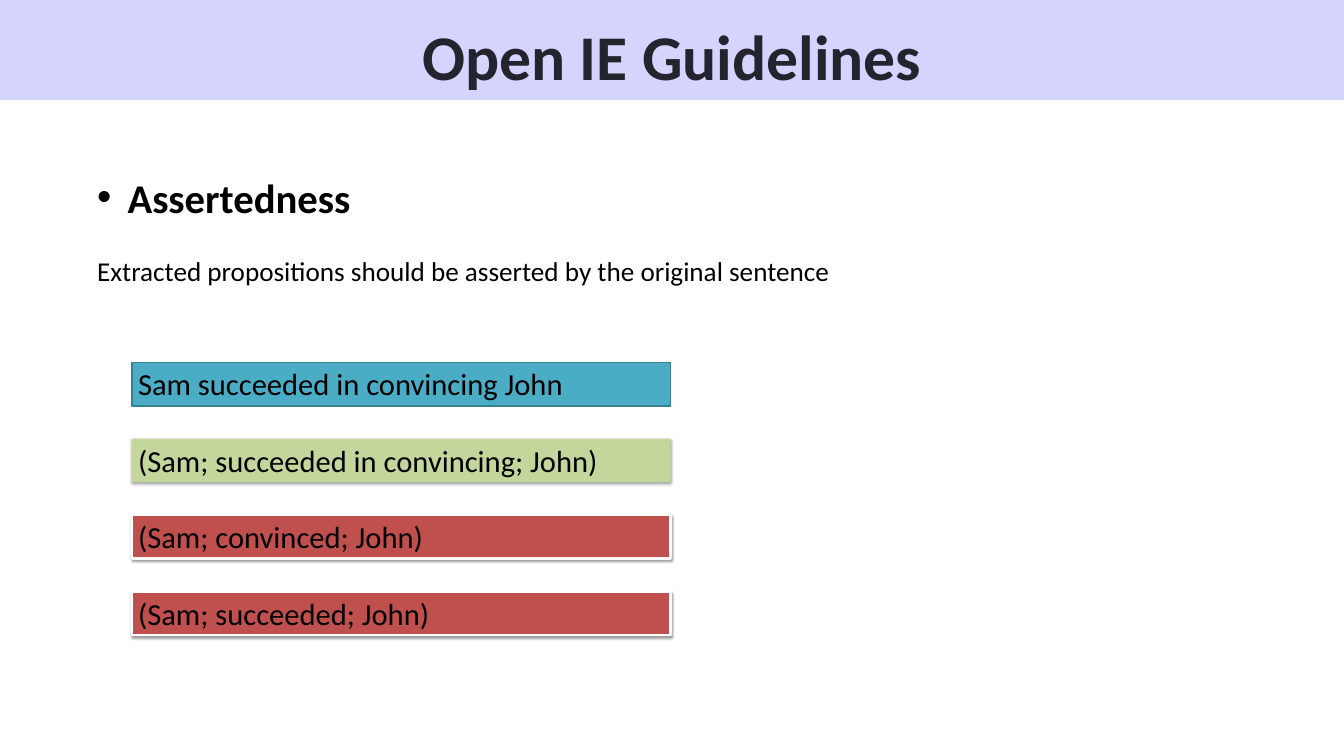
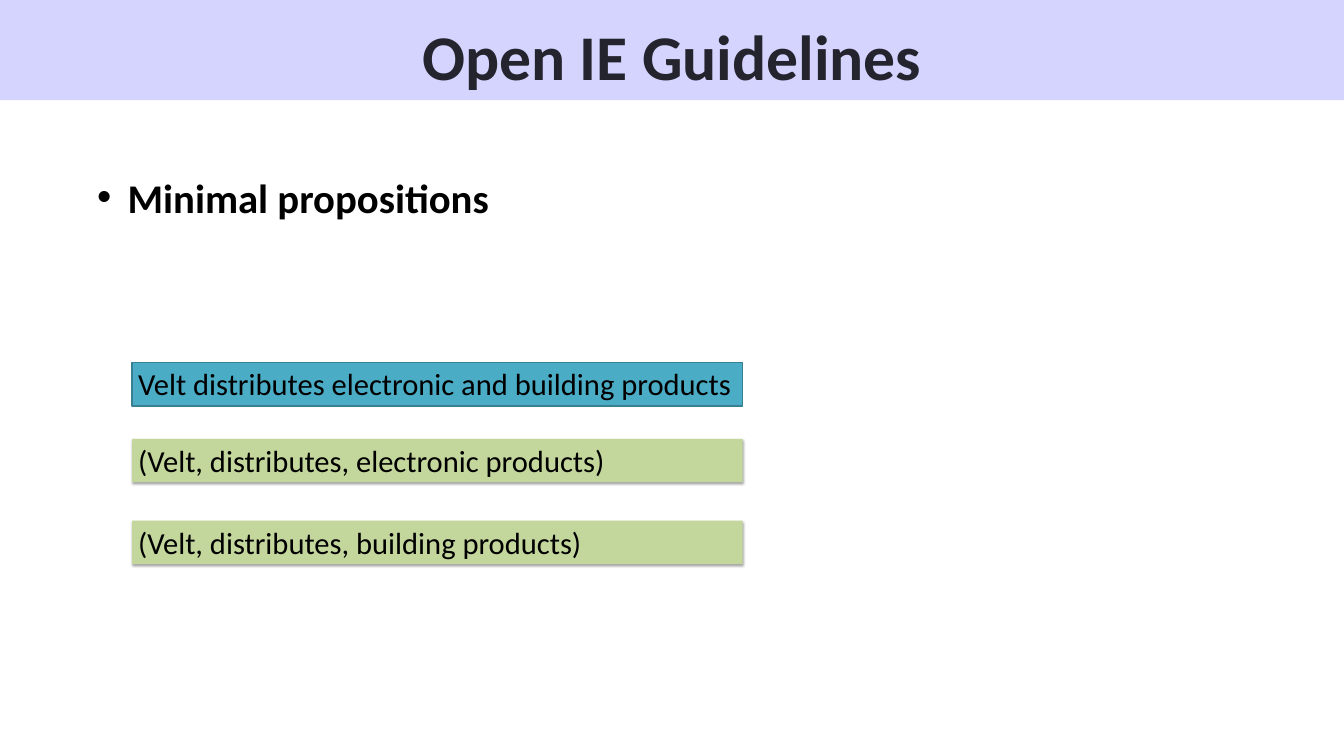
from dataclasses import dataclass

from lxml.etree import SubElement
from pptx import Presentation
from pptx.dml.color import RGBColor
from pptx.enum.shapes import MSO_SHAPE
from pptx.enum.text import MSO_ANCHOR, PP_ALIGN
from pptx.oxml.ns import qn
from pptx.util import Inches, Pt


@dataclass(frozen=True)
class Box:
    """Look of one kind of example box."""
    fill: str
    line: str = ""
    line_width: float = 0
    shadow_opacity: int = 0
    shadow_distance: float = 0


@dataclass(frozen=True)
class Theme:
    """Colours, font and type sizes of the deck."""
    font: str = "Calibri"
    band: str = "D4D4FF"
    title: str = "24242E"
    text: str = "000000"
    title_size: int = 75
    heading_size: int = 48
    body_size: int = 32
    example_size: int = 36
    sentence: Box = Box("4BACC6", "377F92", 2)
    correct: Box = Box("C3D69B", shadow_opacity=35, shadow_distance=1.8)
    wrong: Box = Box("C0504D", "FFFFFF", 3, 38, 1.6)


WIDTH, HEIGHT = 21.99, 12.37
BOX_LEFT, BOX_TOP, BOX_HEIGHT = 2.16, 5.93, 0.71


class GuidelineDeck:
    """Builds guideline slides in one style."""

    def __init__(self, theme):
        self.theme = theme
        self.presentation = Presentation()
        self.presentation.slide_width = Inches(WIDTH)
        self.presentation.slide_height = Inches(HEIGHT)
        self.slide = None

    def add_slide(self, title):
        """Start a slide with the band and its title."""
        self.slide = self.presentation.slides.add_slide(self.presentation.slide_layouts[6])
        self.rectangle(0, 0, WIDTH, 1.64, Box(self.theme.band))
        frame = self.text_box(0, 0.27, WIDTH, 1.26)
        frame.margin_left = frame.margin_right = frame.margin_top = frame.margin_bottom = 0
        paragraph = frame.paragraphs[0]
        paragraph.alignment = PP_ALIGN.CENTER
        self.set_text(paragraph, title, self.theme.title_size, self.theme.title, True)

    def text_box(self, left, top, width, height):
        """Add a wrapping text box and return its frame."""
        shape = self.slide.shapes.add_textbox(
            Inches(left), Inches(top), Inches(width), Inches(height))
        shape.text_frame.word_wrap = True
        return shape.text_frame

    def set_text(self, paragraph, text, size, color, bold=False):
        """Fill a paragraph and set its font."""
        paragraph.text = text
        font = paragraph.font
        font.name = self.theme.font
        font.size = Pt(size)
        font.bold = bold
        font.color.rgb = RGBColor.from_string(color)

    def rectangle(self, left, top, width, height, box):
        """Add a rectangle with the given look."""
        shape = self.slide.shapes.add_shape(
            MSO_SHAPE.RECTANGLE, Inches(left), Inches(top), Inches(width), Inches(height))
        shape.fill.solid()
        shape.fill.fore_color.rgb = RGBColor.from_string(box.fill)
        if box.line:
            shape.line.color.rgb = RGBColor.from_string(box.line)
            shape.line.width = Pt(box.line_width)
        else:
            shape.line.fill.background()
        shape.shadow.inherit = False
        if box.shadow_opacity:
            effects = shape.element.spPr.find(qn("a:effectLst"))
            shadow = SubElement(
                effects, qn("a:outerShdw"), blurRad=str(Pt(3.1)),
                dist=str(Pt(box.shadow_distance)), dir="5400000", rotWithShape="0")
            color = SubElement(shadow, qn("a:srgbClr"), val="000000")
            SubElement(color, qn("a:alpha"), val=str(box.shadow_opacity * 1000))
        return shape

    def guideline(self, heading, explanation=""):
        """Add the bulleted heading and its explanation."""
        frame = self.text_box(1.49, 2.77, 13.24, 2.52 if explanation else 1.45)
        paragraph = frame.paragraphs[0]
        properties = paragraph._p.get_or_add_pPr()
        properties.set("marL", str(Inches(0.5)))
        properties.set("indent", str(Inches(-0.5)))
        SubElement(properties, qn("a:buFont"), typeface="Arial")
        SubElement(properties, qn("a:buChar"), char="•")
        self.set_text(paragraph, heading, self.theme.heading_size, self.theme.text, True)
        if explanation:
            paragraph = frame.add_paragraph()
            paragraph.space_before = Pt(39)
            self.set_text(paragraph, explanation, self.theme.body_size, self.theme.text)

    def examples(self, width, pitch, rows):
        """Stack example boxes, the first two 1.25 inches apart."""
        for index, (box, text) in enumerate(rows):
            top = BOX_TOP + (1.25 + (index - 1) * pitch if index else 0)
            frame = self.rectangle(BOX_LEFT, top, width, BOX_HEIGHT, box).text_frame
            frame.word_wrap = True
            frame.vertical_anchor = MSO_ANCHOR.TOP
            paragraph = frame.paragraphs[0]
            paragraph.alignment = PP_ALIGN.LEFT
            self.set_text(paragraph, text, self.theme.example_size, self.theme.text)


def main():
    """Build and save the deck."""
    theme = Theme()
    deck = GuidelineDeck(theme)
    title = "Open IE Guidelines"

    deck.add_slide(title)
    deck.guideline("Assertedness",
                   "Extracted propositions should be asserted by the original sentence")
    deck.examples(8.81, 1.25, [
        (theme.sentence, "Sam succeeded in convincing John"),
        (theme.correct, "(Sam; succeeded in convincing; John)"),
        (theme.wrong, "(Sam; convinced; John)"),
        (theme.wrong, "(Sam; succeeded; John)"),
    ])

    deck.add_slide(title)
    deck.guideline("Minimal propositions")
    deck.examples(9.99, 1.34, [
        (theme.sentence, "Velt distributes electronic and building products"),
        (theme.correct, "(Velt, distributes, electronic products)"),
        (theme.correct, "(Velt, distributes, building products)"),
    ])

    deck.presentation.save("out.pptx")


if __name__ == "__main__":
    main()
